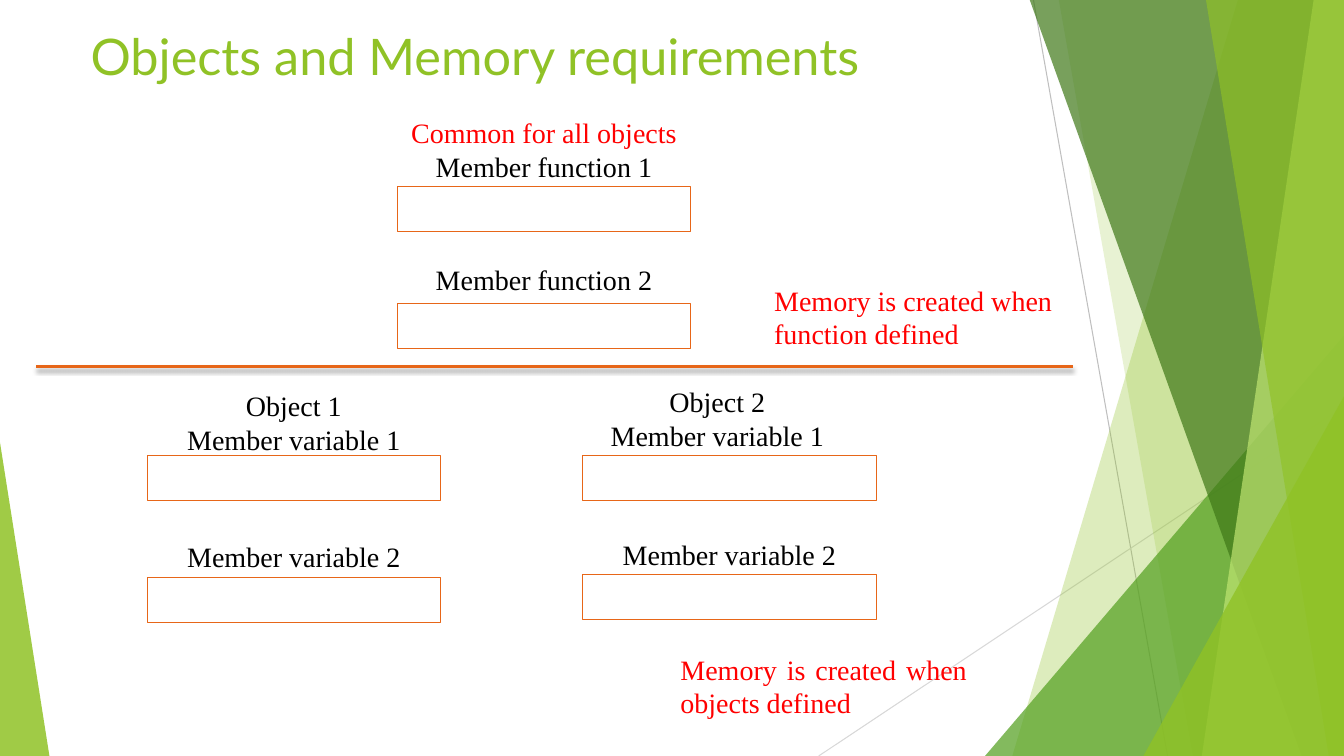
from lxml.etree import SubElement
from pptx import Presentation
from pptx.dml.color import RGBColor
from pptx.enum.shapes import MSO_CONNECTOR, MSO_SHAPE
from pptx.enum.text import MSO_ANCHOR, PP_ALIGN
from pptx.oxml.ns import qn
from pptx.util import Inches, Pt

WIDTH, HEIGHT = 13.33, 7.5
COLORS = {
    "lime": "90C226", "green": "54A021", "forest": "3F7818", "pale": "BFE471",
    "orange": "E76618", "red": "FF0000", "black": "000000",
    "gray": "BFBFBF", "silver": "D8D8D8",
}
BOX_WIDTH, BOX_HEIGHT = 2.91, 0.45
ONE_LINE, TWO_LINES = 0.44, 0.77
MIDDLE, LEFT, RIGHT = 3.94, 1.46, 5.78

THIN_LINES = [
    ((10.25, 0), (11.58, HEIGHT), "gray"),
    ((WIDTH, 4.03), (8.12, HEIGHT), "silver"),
]
FACETS = [
    ("band", 12.28, 10.04, "lime", 30),
    ("band", 10.5, 11.83, "lime", 20),
    ("triangle", (9.77, 3.33, 3.56), 1, "green", 72),
    ("band", 10.21, 12.91, "forest", 70),
    ("band", 13.03, 11.92, "pale", 70),
    ("band", 11.96, 13.18, "lime", 65),
    ("triangle", (11.34, 3.93, 1.99), 1, "lime", 80),
    ("triangle", (0, 4.39, 0.49), 0, "lime", 85),
]
MEMORY_BOXES = [(MIDDLE, 1.85), (MIDDLE, 3.01), (LEFT, 4.52),
                (LEFT, 5.73), (RIGHT, 4.52), (RIGHT, 5.7)]
LABELS = [
    (MIDDLE, 1.1, [("Common for all objects", "red"), ("Member function 1", "black")]),
    (MIDDLE, 2.56, [("Member function 2", "black")]),
    (LEFT, 3.81, [("Object 1", "black"), ("Member variable 1", "black")]),
    (5.66, 3.77, [("Object 2", "black"), ("Member variable 1", "black")]),
    (LEFT, 5.3, [("Member variable 2", "black")]),
    (RIGHT, 5.28, [("Member variable 2", "black")]),
]
NOTES = [
    (7.58, 2.76, 3.06, "Memory is created when function defined", PP_ALIGN.LEFT),
    (6.65, 6.42, 3.04, "Memory is created when objects defined", PP_ALIGN.JUSTIFY),
]


def color(name):
    return RGBColor.from_string(COLORS[name])


def paint(shape, name, opacity):
    shape.shadow.inherit = False
    shape.fill.solid()
    shape.fill.fore_color.rgb = color(name)
    shape.line.fill.background()
    tint = shape._element.spPr.find(qn("a:solidFill"))[0]
    SubElement(tint, qn("a:alpha"), val=str(opacity * 1000))


def add_band(page, top_x, bottom_x):
    top = -0.01
    corners = [(WIDTH, top), (WIDTH, HEIGHT), (bottom_x, HEIGHT)]
    outline = page.shapes.build_freeform(Inches(top_x), Inches(top))
    outline.add_line_segments([(Inches(x), Inches(y)) for x, y in corners], close=True)
    return outline.convert_to_shape()


def add_triangle(page, place, apex):
    left, top, width = place
    shape = page.shapes.add_shape(
        MSO_SHAPE.ISOSCELES_TRIANGLE, Inches(left), Inches(top),
        Inches(width), Inches(HEIGHT - top))
    shape.adjustments[0] = apex
    return shape


def add_line(page, start, end, name, weight):
    line = page.shapes.add_connector(
        MSO_CONNECTOR.STRAIGHT, *[Inches(value) for value in start + end])
    line.line.color.rgb = color(name)
    line.line.width = Pt(weight)
    return SubElement(line._element.spPr, qn("a:effectLst"))


def add_text(page, lines, left, top, width, height, size=20,
             font="Times New Roman", align=PP_ALIGN.CENTER):
    box = page.shapes.add_textbox(Inches(left), Inches(top), Inches(width), Inches(height))
    frame = box.text_frame
    frame.word_wrap = True
    frame.vertical_anchor = MSO_ANCHOR.TOP
    for index, (text, name) in enumerate(lines):
        para = frame.add_paragraph() if index else frame.paragraphs[0]
        para.alignment = align
        span = para.add_run()
        span.text = text
        span.font.size = Pt(size)
        span.font.name = font
        span.font.color.rgb = color(name)


def main():
    deck = Presentation()
    deck.slide_width, deck.slide_height = Inches(WIDTH), Inches(HEIGHT)
    page = deck.slides.add_slide(deck.slide_layouts[6])

    for start, end, name in THIN_LINES:
        add_line(page, start, end, name, 0.75)
    builders = {"band": add_band, "triangle": add_triangle}
    for kind, first, second, name, opacity in FACETS:
        paint(builders[kind](page, first, second), name, opacity)

    add_text(page, [("Objects and Memory requirements", "lime")], 0.8, 0.2, 9.4, 1.44,
             size=36, font="Lato", align=PP_ALIGN.LEFT)

    effects = add_line(page, (0.36, 3.64), (10.64, 3.64), "orange", 2)
    shadow = SubElement(effects, qn("a:outerShdw"), blurRad=str(Pt(3)), dist=str(Pt(2)),
                        dir="5400000", rotWithShape="0")
    tint = SubElement(shadow, qn("a:srgbClr"), val=COLORS["black"])
    SubElement(tint, qn("a:alpha"), val="35000")

    for left, top in MEMORY_BOXES:
        box = page.shapes.add_shape(MSO_SHAPE.RECTANGLE, Inches(left), Inches(top),
                                    Inches(BOX_WIDTH), Inches(BOX_HEIGHT))
        box.shadow.inherit = False
        box.fill.background()
        box.line.color.rgb = color("orange")
        box.line.width = Pt(0.75)
    for left, top, lines in LABELS:
        height = TWO_LINES if len(lines) == 2 else ONE_LINE
        add_text(page, lines, left, top, BOX_WIDTH, height)
    for left, top, width, text, align in NOTES:
        add_text(page, [(text, "red")], left, top, width, TWO_LINES, align=align)

    deck.save("out.pptx")


if __name__ == "__main__":
    main()
